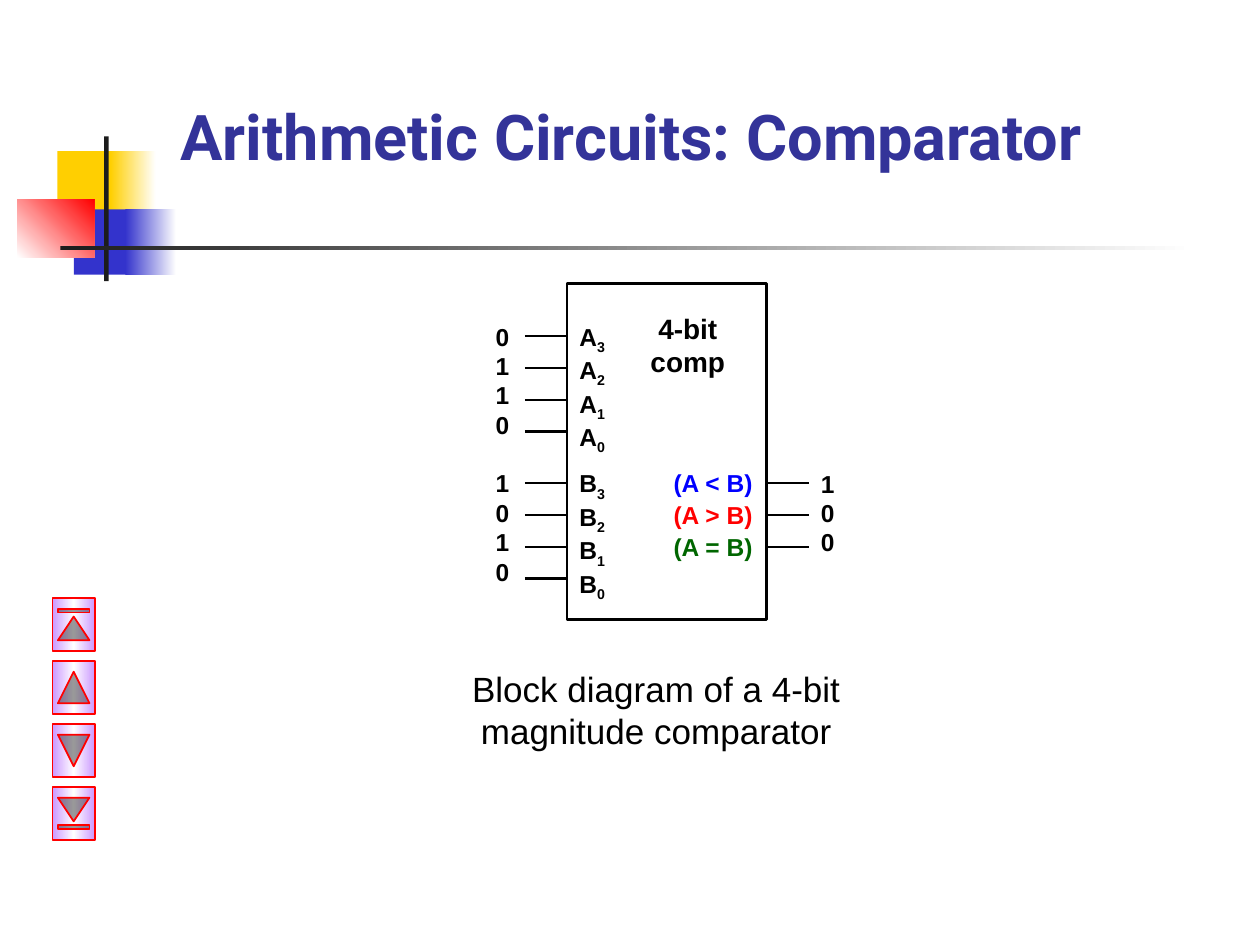
from dataclasses import dataclass

from lxml import etree
from pptx import Presentation
from pptx.dml.color import RGBColor
from pptx.enum.shapes import MSO_CONNECTOR, MSO_SHAPE
from pptx.enum.text import MSO_ANCHOR, PP_ALIGN
from pptx.oxml.ns import qn
from pptx.util import Cm, Pt

RECTANGLE = MSO_SHAPE.RECTANGLE
STRAIGHT = MSO_CONNECTOR.STRAIGHT
LEFT, CENTER = PP_ALIGN.LEFT, PP_ALIGN.CENTER
TOP, BOTTOM = MSO_ANCHOR.TOP, MSO_ANCHOR.BOTTOM
NAVIGATION = (
    MSO_SHAPE.ACTION_BUTTON_BEGINNING,
    MSO_SHAPE.ACTION_BUTTON_BACK_OR_PREVIOUS,
    MSO_SHAPE.ACTION_BUTTON_FORWARD_OR_NEXT,
    MSO_SHAPE.ACTION_BUTTON_END,
)


@dataclass(frozen=True)
class Theme:
    title_font: str = "Roboto"
    body_font: str = "Arial"
    title_size: int = 36
    caption_size: int = 20
    chip_size: int = 16
    pin_size: int = 14
    title: str = "333399"
    ink: str = "000000"
    bar: str = "1C1C1C"
    paper: str = "FFFFFF"
    yellow: str = "FFCF01"
    indigo: str = "3333CC"
    red: str = "FF0000"
    less: str = "0000FF"
    equal: str = "006600"
    lilac: str = "CC99FF"


THEME = Theme()


def color(value):
    return RGBColor.from_string(value)


def paint(shape, colors, angle=0):
    """Fill with one colour, or with evenly spaced gradient colours."""
    if len(colors) == 1:
        shape.fill.solid()
        shape.fill.fore_color.rgb = color(colors[0])
        return
    shape.fill.gradient()
    shape.fill.gradient_angle = angle
    stops = shape.element.spPr.find(qn("a:gradFill")).find(qn("a:gsLst"))
    for stop in list(stops):
        stops.remove(stop)
    for index, value in enumerate(colors):
        position = str(index * 100000 // (len(colors) - 1))
        stop = etree.SubElement(stops, qn("a:gs"), pos=position)
        etree.SubElement(stop, qn("a:srgbClr"), val=value)


def add_block(page, box, colors=(), kind=RECTANGLE, angle=0, line=None, width=1):
    shape = page.shapes.add_shape(kind, *map(Cm, box))
    shape.shadow.inherit = False
    if colors:
        paint(shape, colors, angle)
    else:
        shape.fill.background()
    if line:
        shape.line.color.rgb = color(line)
        shape.line.width = Pt(width)
    else:
        shape.line.fill.background()
    return shape


def add_text(page, box, lines, size, font=THEME.body_font, ink=THEME.ink,
             bold=True, align=LEFT, anchor=TOP):
    """Each line is a string, or a (base, subscript) pair."""
    frame = page.shapes.add_textbox(*map(Cm, box)).text_frame
    frame.word_wrap = True
    frame.vertical_anchor = anchor
    for index, line in enumerate(lines):
        para = frame.add_paragraph() if index else frame.paragraphs[0]
        para.alignment = align
        pieces = (line,) if isinstance(line, str) else line
        for level, piece in enumerate(pieces):
            span = para.add_run()
            span.text = piece
            span.font.name = font
            span.font.size = Pt(size)
            span.font.bold = bold
            span.font.color.rgb = color(ink)
            if level:
                span._r.get_or_add_rPr().set("baseline", "-25000")


def add_wire(page, left, y, length):
    wire = page.shapes.add_connector(STRAIGHT, Cm(left), Cm(y), Cm(left + length), Cm(y))
    wire.line.color.rgb = color(THEME.ink)
    wire.line.width = Pt(1.25)
    etree.SubElement(wire.element.spPr, qn("a:effectLst"))


def add_ornament(page, box):
    left, top, width, height = box
    fade = (THEME.paper,)
    parts = (
        ((0.81, 0.3, 1.22, 1.32), (THEME.yellow,), 0),
        ((1.88, 0.3, 0.91, 1.32), (THEME.yellow,) + fade, 0),
        ((1.14, 1.47, 1.17, 1.32), (THEME.indigo,), 0),
        ((2.18, 1.47, 1.02, 1.32), (THEME.indigo,) + fade, 0),
        ((0, 1.27, 1.55, 1.17), fade + (THEME.red,), 45),
        ((1.75, 0, 0.09, height), (THEME.bar,), 0),
        ((0.87, 2.2, width - 0.87, 0.09), (THEME.bar,) + fade, 0),
    )
    for (dx, dy, part_width, part_height), colors, angle in parts:
        add_block(page, (left + dx, top + dy, part_width, part_height), colors, angle=angle)


def add_comparator(page, box):
    left, top, width, height = box
    right = left + width
    pitch, wire_length, wire_drop, column = 0.64, 0.85, 0.42, 1.22
    a_top, b_top = top + 0.64, top + 3.6

    # Chip body and name
    add_block(page, box, line=THEME.ink, width=1.5)
    add_text(page, (left + 1.06, top + 0.43, 2.75, 1.62), ["4-bit comp"],
             THEME.chip_size, align=CENTER)

    # Input pins with their bits
    for name, bits, pins_top in (("A", "0110", a_top), ("B", "1010", b_top)):
        pins = [(name, str(number)) for number in (3, 2, 1, 0)]
        add_text(page, (left, pins_top, column, 2.95), pins, THEME.pin_size)
        add_text(page, (left - 1.69, pins_top, column, 2.64), bits, THEME.pin_size)
        for row in range(len(bits)):
            add_wire(page, left - wire_length, pins_top + wire_drop + row * pitch, wire_length)

    # Output pins with their bits
    outputs = (("<", THEME.less), (">", THEME.red), ("=", THEME.equal))
    for row, (sign, ink) in enumerate(outputs):
        row_top = b_top + row * pitch
        add_text(page, (right - 2.12, row_top, 2.34, 0.86), [f"(A {sign} B)"],
                 THEME.pin_size, ink=ink)
        add_wire(page, right, row_top + wire_drop, wire_length)
    add_text(page, (right + wire_length, b_top, column, 2.03), "100", THEME.pin_size)


def add_navigation(page, box):
    """Stack the buttons in the box, each turned a quarter to point up or down."""
    left, top, width, height = box
    button_height = 1.06
    step = (height - button_height) / (len(NAVIGATION) - 1)
    shift = (button_height - width) / 2
    for row, kind in enumerate(NAVIGATION):
        frame = (left - shift, top + row * step + shift, button_height, width)
        button = add_block(page, frame, (THEME.lilac, THEME.paper, THEME.lilac),
                           kind, angle=90, line=THEME.red)
        button.rotation = 90


def main():
    deck = Presentation()
    deck.slide_width, deck.slide_height = Cm(25.4), Cm(19.05)
    page = deck.slides.add_slide(deck.slide_layouts[6])
    add_ornament(page, (0.35, 2.75, 23.73, 2.92))
    add_text(page, (3.39, 0.43, 21.59, 3.18), ["Arithmetic Circuits: Comparator"],
             THEME.title_size, font=THEME.title_font, ink=THEME.title, anchor=BOTTOM)
    add_comparator(page, (11.43, 5.72, 4.02, 6.77))
    add_text(page, (9.1, 13.34, 8.26, 1.96), ["Block diagram of a 4-bit magnitude comparator"],
             THEME.caption_size, bold=False, align=CENTER)
    add_navigation(page, (1.06, 12.06, 0.85, 4.87))
    deck.save("out.pptx")


if __name__ == "__main__":
    main()
